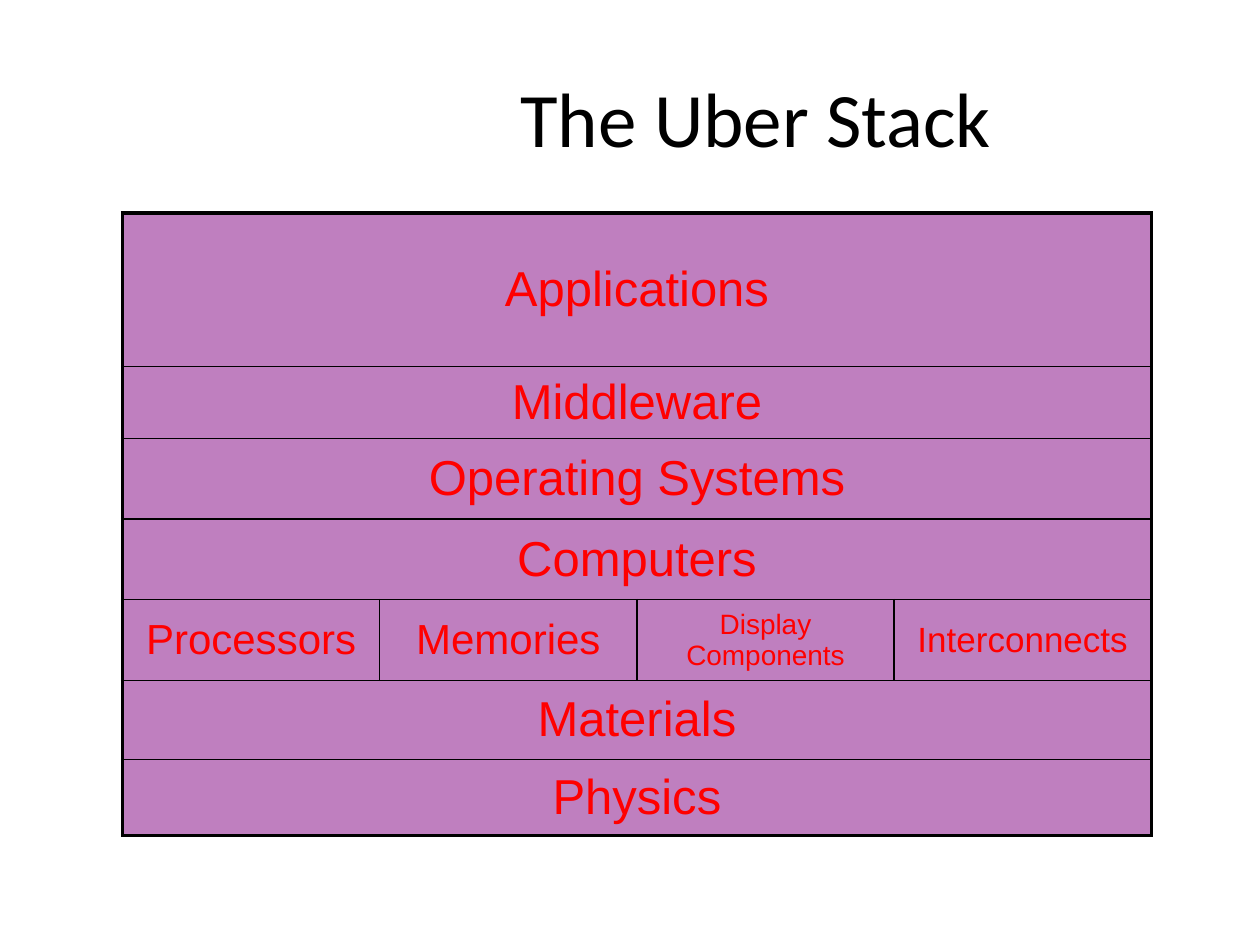
from lxml import etree
from pptx import Presentation
from pptx.dml.color import RGBColor
from pptx.enum.text import MSO_ANCHOR, PP_ALIGN
from pptx.oxml.ns import qn
from pptx.util import Pt

MIDDLE, CENTER = MSO_ANCHOR.MIDDLE, PP_ALIGN.CENTER
COLORS = {"ink": "000000", "layer": "800080", "label": "FF0000"}
THICK, THIN = 2.25, 1
COLS = 4

# Each layer: height, then its (label, size) parts
LAYERS = [
    (87.84, [("Applications", 28)]),
    (41.04, [("Middleware", 28)]),
    (46.08, [("Operating Systems", 28)]),
    (46.08, [("Computers", 28)]),
    (46.08, [("Processors", 24), ("Memories", 24),
             ("Display Components", 16), ("Interconnects", 20)]),
    (45.36, [("Materials", 28)]),
    (43.2, [("Physics", 28)]),
]


def assign(item, values):
    for name, value in values.items():
        setattr(item, name, value)


def write(frame, text, size, face, color):
    para = frame.paragraphs[0]
    para.alignment = CENTER
    run = para.add_run()
    run.text = text
    assign(run.font, {"size": Pt(size), "name": face})
    run.font.color.rgb = RGBColor.from_string(COLORS[color])


def add_title(slide, left, top, width, height):
    frame = slide.shapes.add_textbox(
        Pt(left), Pt(top), Pt(width), Pt(height)).text_frame
    # The wide left margin moves the centred title to the right
    assign(frame, {"word_wrap": True, "vertical_anchor": MIDDLE,
                   "margin_left": Pt(151.2)})
    write(frame, "The Uber Stack", 44, "Calibri", "ink")


def style_cell(cell, edges):
    assign(cell, {"vertical_anchor": MIDDLE,
                  "margin_left": Pt(1), "margin_right": Pt(1),
                  "margin_top": Pt(3.6), "margin_bottom": Pt(3.6)})
    # Half-transparent fill
    cell.fill.solid()
    cell.fill.fore_color.rgb = RGBColor.from_string(COLORS["layer"])
    props = cell._tc.get_or_add_tcPr()
    tint = props.find(".//" + qn("a:srgbClr"))
    etree.SubElement(tint, qn("a:alpha"), val="50000")
    # Borders come before the fill
    for spot, (side, width) in enumerate(edges.items()):
        line = etree.Element(qn("a:ln" + side), w=str(int(Pt(width))))
        fill = etree.SubElement(line, qn("a:solidFill"))
        etree.SubElement(fill, qn("a:srgbClr"), val=COLORS["ink"])
        props.insert(spot, line)


def add_stack(slide, left, top, width, height):
    table = slide.shapes.add_table(
        len(LAYERS), COLS, Pt(left), Pt(top), Pt(width), Pt(height)).table
    assign(table, {"first_row": False, "horz_banding": False})
    for col in table.columns:
        col.width = Pt(width / COLS)
    last = len(LAYERS) - 1
    for row, (tall, parts) in enumerate(LAYERS):
        table.rows[row].height = Pt(tall)
        span = COLS // len(parts)
        for part, (text, size) in enumerate(parts):
            start = part * span
            end = start + span - 1
            cell = table.cell(row, start)
            if span > 1:
                cell.merge(table.cell(row, end))
            # Outer edges are thick, inner ones thin
            style_cell(cell, {
                "L": THICK if start == 0 else THIN,
                "R": THICK if end == COLS - 1 else THIN,
                "T": THICK if row == 0 else THIN,
                "B": THICK if row == last else THIN,
            })
            write(cell.text_frame, text, size, "Arial", "label")


def main():
    deck = Presentation()
    assign(deck, {"slide_width": Pt(720), "slide_height": Pt(540)})
    slide = deck.slides.add_slide(deck.slide_layouts[6])
    add_title(slide, 36, 21.6, 648, 90)
    add_stack(slide, 70, 121.7, 588, sum(tall for tall, _ in LAYERS))
    deck.save("out.pptx")


if __name__ == "__main__":
    main()
